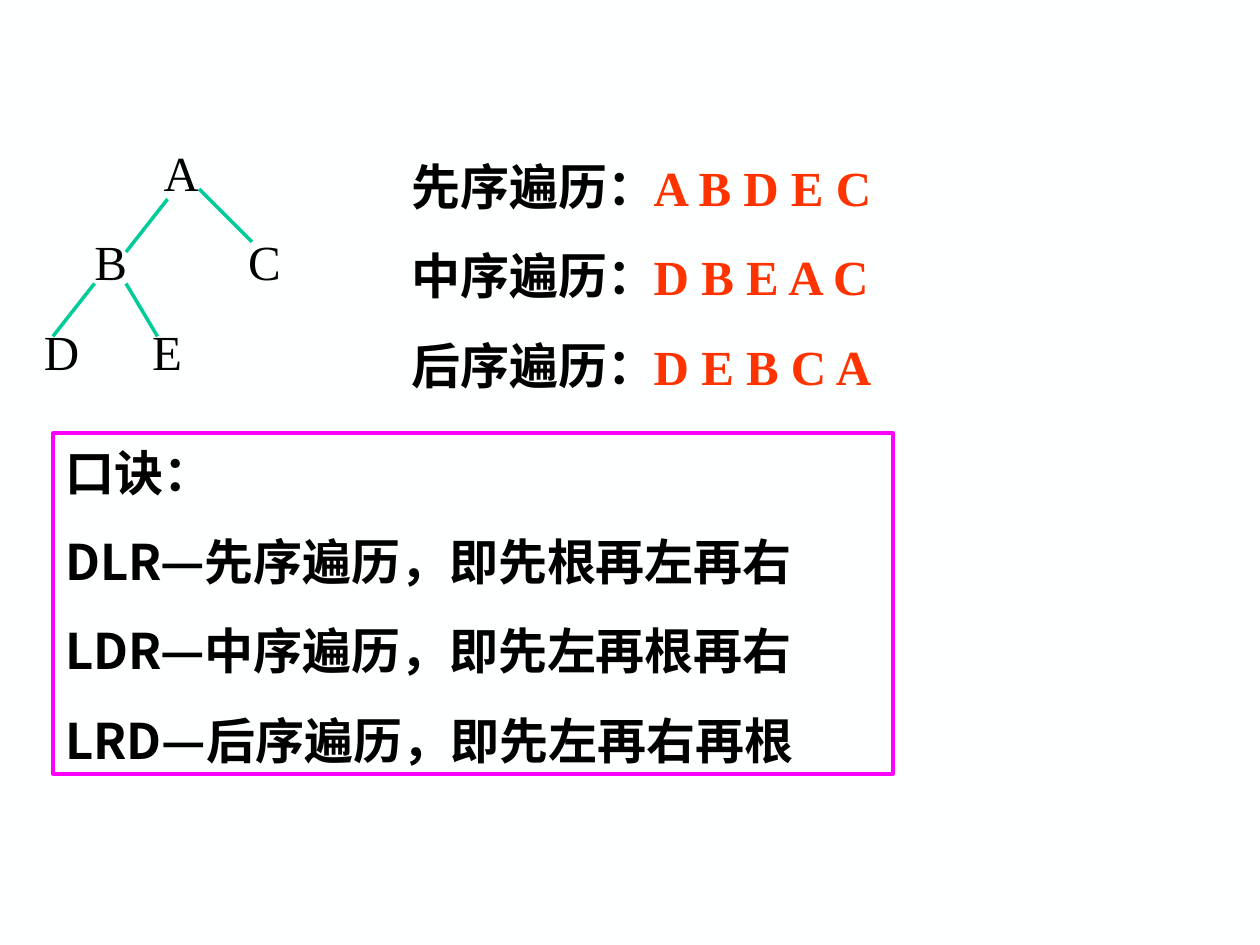
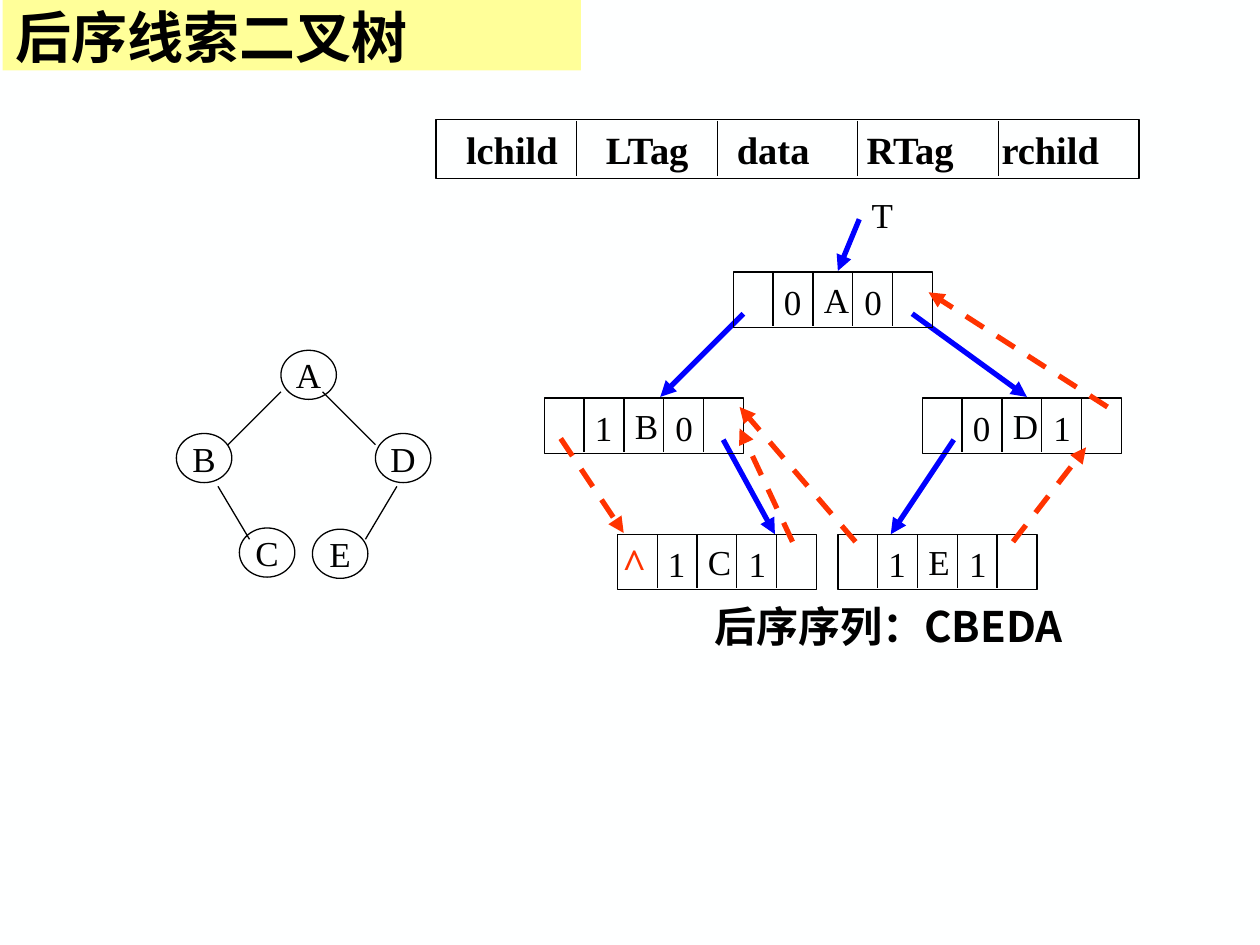
"""Builds two slides on traversing and threading binary trees."""
from lxml import etree
from pptx import Presentation
from pptx.dml.color import RGBColor
from pptx.enum import dml, shapes, text
from pptx.oxml.ns import qn
from pptx.util import Inches, Pt

HUES = {"back": "FEFFFF", "ink": "000000", "red": "FF3300", "blue": "0000FF",
        "green": "00CC99", "pink": "FF00FF", "band": "FFFF99"}
HUES = {name: RGBColor.from_string(code) for name, code in HUES.items()}
SANS, SERIF = "Noto Sans CJK SC", "Times New Roman"
RECT, OVAL = shapes.MSO_SHAPE.RECTANGLE, shapes.MSO_SHAPE.OVAL
LEFT, MID, JUST = text.PP_ALIGN.LEFT, text.PP_ALIGN.CENTER, text.PP_ALIGN.JUSTIFY


def write(slide, at, lines, size=20, face=SERIF, hue="ink", bold=False, align=LEFT,
          kind=None, edge=None, fill=None, width=0.75, stops=(), middle=True):
    spot = [Inches(v) for v in at]
    if kind == "title":
        box = slide.shapes.title
        box.left, box.top, box.width, box.height = spot
    elif kind:
        box = slide.shapes.add_shape(kind, *spot)
        box.shadow.inherit = False
    else:
        box = slide.shapes.add_textbox(*spot)
    if fill:
        box.fill.solid()
        box.fill.fore_color.rgb = HUES[fill]
    else:
        box.fill.background()
    if edge:
        box.line.color.rgb = HUES[edge]
        box.line.width = Pt(width)
    else:
        box.line.fill.background()
    frame = box.text_frame
    frame.auto_size = text.MSO_AUTO_SIZE.NONE
    frame.word_wrap = at[2] > 1
    frame.margin_left = frame.margin_right = Inches(0.1)
    frame.margin_top = Inches(0.07 if face == SANS else 0.05)
    frame.margin_bottom = Inches(0.05)
    frame.vertical_anchor = text.MSO_ANCHOR.MIDDLE if middle else text.MSO_ANCHOR.TOP
    for i, line in enumerate(lines):
        para = frame.add_paragraph() if i else frame.paragraphs[0]
        para.text = line
        if stops:
            tabs = etree.SubElement(para._p.get_or_add_pPr(), qn("a:tabLst"))
            for stop in stops[i]:
                etree.SubElement(tabs, qn("a:tab"), pos=str(Inches(stop)), algn="l")
        para.alignment = align
        para.line_spacing = Pt(size * 1.2)
        para.space_before = Pt(17.5 if i else 0)
        for run in para.runs:
            font = run.font
            font.size, font.name, font.bold = Pt(size), face, bold
            font.color.rgb = HUES[hue]
            etree.SubElement(run._r.get_or_add_rPr(), qn("a:ea"), typeface=face)


def link(slide, ends, hue="ink", width=0.75, head=False, dash=False):
    line = slide.shapes.add_connector(shapes.MSO_CONNECTOR.STRAIGHT,
                                      *[Inches(v) for v in ends])
    line.line.color.rgb = HUES[hue]
    line.line.width = Pt(width)
    if dash:
        line.line.dash_style = dml.MSO_LINE.DASH
    props = line._element.spPr
    if head:
        etree.SubElement(props.find(qn("a:ln")), qn("a:tailEnd"), type="triangle")
    etree.SubElement(props, qn("a:effectLst"))


deck = Presentation()
deck.slide_width, deck.slide_height = Inches(10), Inches(7.5)
paper = deck.slide_master.background.fill
paper.solid()
paper.fore_color.rgb = HUES["back"]

walk = deck.slides.add_slide(deck.slide_layouts[6])
write(walk, (3.17, 1.17, 2.23, 1.99), ["先序遍历：", "中序遍历：", "后序遍历："],
      28, SANS, bold=True, align=JUST, middle=False)
write(walk, (0.25, 1.08, 2.75, 1.99), ["\tA", "\tB\tC", "D\tE"], 28,
      stops=[[0.95], [0.4, 1.62], [0.86]], middle=False)
for ends in [(1.33, 1.58, 1, 2), (1.58, 1.5, 2, 1.92),
             (1, 2.25, 1.25, 2.67), (0.75, 2.25, 0.42, 2.67)]:
    link(walk, ends, "green", 2)
write(walk, (5.09, 1.2, 2, 1.99), ["A B D E C", "D B E A C", "D E B C A"],
      28, hue="red", bold=True, middle=False)
write(walk, (0.42, 3.44, 6.67, 2.7),
      ["口诀：", "DLR—先序遍历，即先根再左再右",
       "LDR—中序遍历，即先左再根再右", "LRD—后序遍历，即先左再右再根"],
      28, SANS, bold=True, kind=RECT, edge="pink", width=2.25, middle=False)

thread = deck.slides.add_slide(deck.slide_layouts[5])
write(thread, (0.02, 0, 4.59, 0.56), ["后序线索二叉树"], 32, SANS, bold=True,
      kind="title", fill="band")

write(thread, (3.46, 0.95, 5.58, 0.47), ["\tlchild\tLTag\tdata\tRTag\trchild"], 22,
      bold=True, kind=RECT, edge="ink", stops=[[0.14, 1.25, 2.29, 3.32, 4.39]])
for i in range(1, 5):
    x = 3.46 + i * 5.58 / 5
    link(thread, (x, 0.96, x, 1.4))

for name, x, y in [("A", 2.23, 2.78), ("B", 1.4, 3.44), ("C", 1.9, 4.19),
                   ("D", 2.98, 3.44), ("E", 2.48, 4.2)]:
    write(thread, (x, y, 0.44, 0.39), [name], align=MID, kind=OVAL, edge="ink")
for ends in [(2.23, 3.11, 1.81, 3.53), (2.56, 3.11, 2.98, 3.53),
             (1.73, 3.86, 1.98, 4.28), (3.15, 3.86, 2.9, 4.28)]:
    link(thread, ends)

for ends in [(5.9, 2.49, 5.24, 3.15), (7.24, 2.49, 8.15, 3.15), (5.74, 3.49, 6.15, 4.24),
             (7.57, 3.49, 7.07, 4.24), (6.82, 1.74, 6.65, 2.15)]:
    link(thread, ends, "blue", 3, head=True)
write(thread, (6.82, 1.49, 0.37, 0.44), ["T"], middle=False)

for name, x, y, ltag, rtag in [("A", 5.82, 2.16, "0", "0"), ("B", 4.32, 3.16, "1", "0"),
                               ("D", 7.32, 3.16, "0", "1"), ("C", 4.9, 4.24, "1", "1"),
                               ("E", 6.65, 4.24, "1", "1")]:
    write(thread, (x, y, 1.58, 0.44), ["\t" + name], kind=RECT, edge="ink", stops=[[0.62]])
    for i in range(1, 5):
        side = x + i * 1.58 / 5
        link(thread, (side, y, side, y + 0.43))
    for tag, shift in [(ltag, 0.3), (rtag, 0.94)]:
        write(thread, (x + shift, y + 0.01, 0.34, 0.44), [tag], align=MID)
write(thread, (4.84, 4.21, 0.39, 0.5), ["^"], 24, hue="red", bold=True, align=MID)
write(thread, (5.57, 4.7, 3.1, 0.5), ["后序序列：CBEDA"], 24, SANS, bold=True, middle=False)

for ends in [(4.45, 3.48, 4.95, 4.23), (6.29, 4.3, 5.87, 3.4), (6.79, 4.3, 5.87, 3.23),
             (8.04, 4.3, 8.62, 3.55), (8.79, 3.23, 7.37, 2.32)]:
    link(thread, ends, "red", 3, head=True, dash=True)

deck.save("out.pptx")
